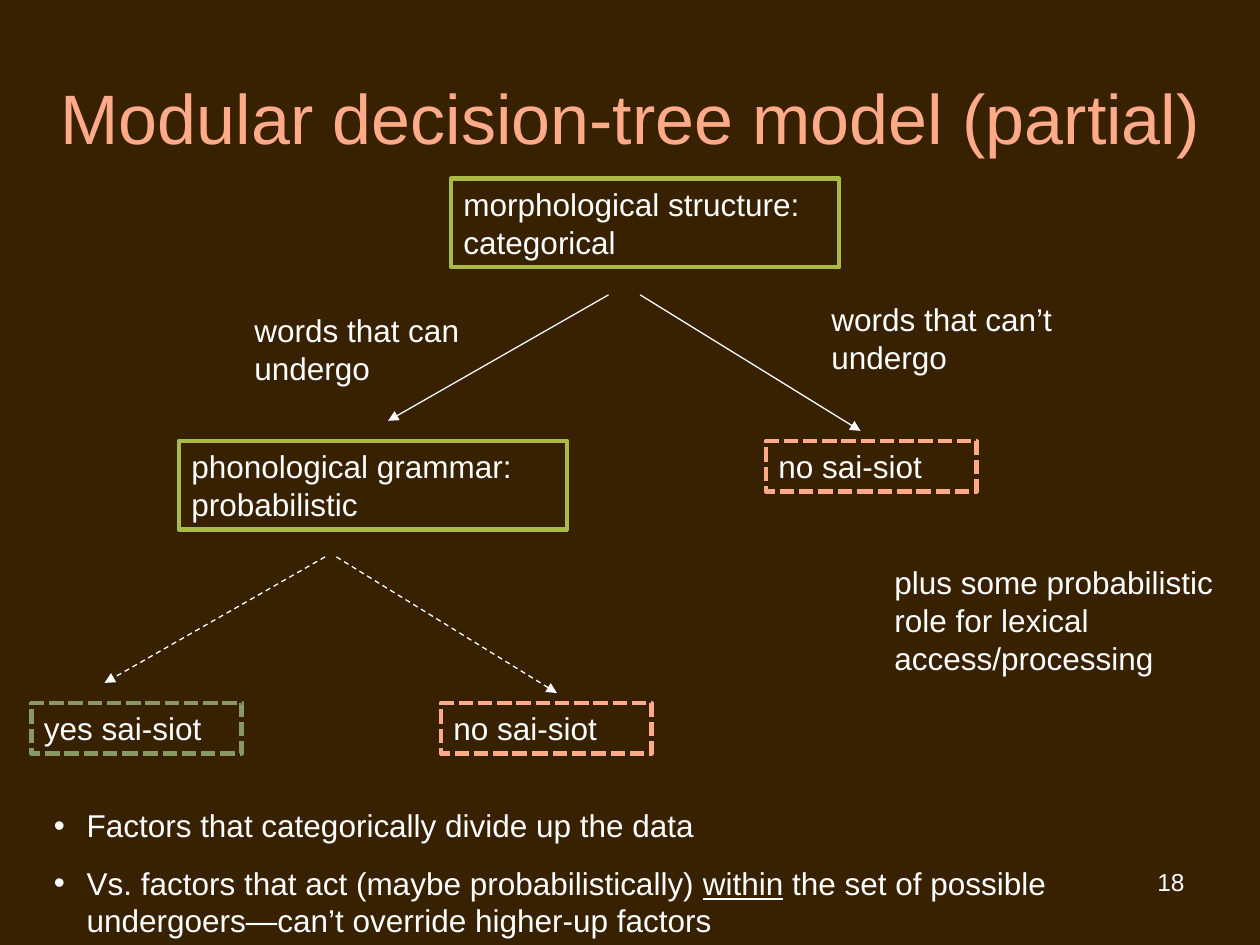
from lxml import etree
from pptx import Presentation
from pptx import util as u
from pptx.dml.color import RGBColor
from pptx.enum import dml, shapes, text
from pptx.oxml.ns import qn

Inches = u.Inches
FONT = "Arial"
COLORS = {"bg": "372100", "title": "FFAA88", "text": "FFFFFF",
          "node": "AABB44", "no": "FFAA88", "yes": "889966"}
LEVEL = 2.08


def rgb(name):
    """Look up a palette colour."""
    return RGBColor.from_string(COLORS[name])


def style(p, size=18, color="text", align=text.PP_ALIGN.LEFT):
    """Format a paragraph and its runs."""
    p.alignment = align
    for r in p.runs:
        r.font.name, r.font.size = FONT, u.Pt(size)
        r.font.color.rgb = rgb(color)


def add_label(slide, box, words, size=18, align=text.PP_ALIGN.LEFT):
    """Add a wrapping text box."""
    sp = slide.shapes.add_textbox(*map(Inches, box))
    tf = sp.text_frame
    tf.word_wrap = True
    tf.text = words
    style(tf.paragraphs[0], size, align=align)
    return sp


def add_node(slide, box, words, color, dotted=False):
    """Add an outlined rectangle holding a tree node."""
    sp = slide.shapes.add_shape(shapes.MSO_SHAPE.RECTANGLE, *map(Inches, box))
    sp.shadow.inherit = False
    sp.fill.background()
    sp.line.color.rgb = rgb(color)
    sp.line.width = u.Pt(2.75)
    if dotted:
        sp.line.dash_style = dml.MSO_LINE.SQUARE_DOT
    tf = sp.text_frame
    tf.word_wrap = True
    tf.vertical_anchor = text.MSO_ANCHOR.TOP
    tf.text = words
    style(tf.paragraphs[0])


def add_arrow(slide, x, y, dx, dy, dashed):
    """Draw a thin arrow from a point by an offset."""
    c = slide.shapes.add_connector(
        shapes.MSO_CONNECTOR.STRAIGHT, *map(Inches, (x, y, x + dx, y + dy)))
    c.line.color.rgb = rgb("text")
    c.line.width = u.Pt(0.75)
    if dashed:
        c.line.dash_style = dml.MSO_LINE.DASH
    ln = c.line._get_or_add_ln()
    etree.SubElement(ln, qn("a:tailEnd"), type="triangle")
    etree.SubElement(c._element.spPr, qn("a:effectLst"))


def add_decision(slide, x, y, words, starts, dashed=False):
    """Add a decision node with its two outgoing arrows."""
    add_node(slide, (x, y, 3.08, 0.7), words, "node")
    for start, dx, dy in zip(starts, (-1.75, 1.75), (1, 1.08)):
        add_arrow(slide, x + start, y + 0.92, dx, dy, dashed)


def add_leaf(slide, x, y, words, color):
    """Add a dotted outcome node."""
    add_node(slide, (x, y, 1.67, 0.4), words, color, dotted=True)


def add_tree(slide, x, y):
    """Place the decision tree with its root at the given corner."""
    add_decision(slide, x, y, "morphological structure: categorical", (1.25, 1.5))
    add_label(slide, (x - 1.66, y + 1, 1.92, 0.7), "words that can undergo")
    add_label(slide, (x + 2.92, y + 0.91, 2, 0.7), "words that can’t undergo")
    add_leaf(slide, x + 2.5, y + LEVEL, "no sai-siot", "no")
    px, py = x - 2.16, y + LEVEL
    add_decision(slide, px, py, "phonological grammar: probabilistic",
                 (1.16, 1.25), dashed=True)
    add_leaf(slide, px - 1.17, py + LEVEL, "yes sai-siot", "yes")
    add_leaf(slide, px + LEVEL, py + LEVEL, "no sai-siot", "no")


def add_title(slide, box, words):
    """Move and format the title placeholder."""
    sp = slide.shapes.title
    sp.left, sp.top, sp.width, sp.height = map(Inches, box)
    tf = sp.text_frame
    tf.text = words
    tf.vertical_anchor = text.MSO_ANCHOR.MIDDLE
    style(tf.paragraphs[0], 40, "title", text.PP_ALIGN.CENTER)


def add_bullets(slide, box, items):
    """Add bulleted paragraphs; every second run is underlined."""
    sp = slide.shapes.add_textbox(*map(Inches, box))
    tf = sp.text_frame
    tf.word_wrap = True
    for i, parts in enumerate(items):
        p = tf.add_paragraph() if i else tf.paragraphs[0]
        for j, part in enumerate(parts):
            r = p.add_run()
            r.text = part
            if j % 2:
                r.font.underline = True
        style(p)
        p.space_before = u.Pt(11.2)
        pPr = p._p.get_or_add_pPr()
        pPr.set("marL", str(Inches(0.26)))
        pPr.set("indent", str(-Inches(0.26)))
        etree.SubElement(pPr, qn("a:buFont"), typeface=FONT)
        etree.SubElement(pPr, qn("a:buChar"), char="•")


def main():
    """Build and save the slide."""
    prs = Presentation()
    prs.slide_width, prs.slide_height = Inches(10), Inches(7.5)
    s = prs.slides.add_slide(prs.slide_layouts[5])
    s.background.fill.solid()
    s.background.fill.fore_color.rgb = rgb("bg")
    add_title(s, (0.25, 0.3, 9.5, 1.25), "Modular decision-tree model (partial)")
    add_tree(s, 3.58, 1.42)
    add_label(s, (7, 4.42, 2.75, 1),
              "plus some probabilistic role for lexical access/processing")
    add_bullets(s, (0.33, 6.35, 9.17, 1.16), [
        ["Factors that categorically divide up the data"],
        ["Vs. factors that act (maybe probabilistically) ", "within",
         " the set of possible undergoers—can’t override higher-up factors"]])
    add_label(s, (7.17, 6.83, 2.33, 0.52), "18", 14, text.PP_ALIGN.RIGHT)
    prs.save("out.pptx")


if __name__ == "__main__":
    main()
